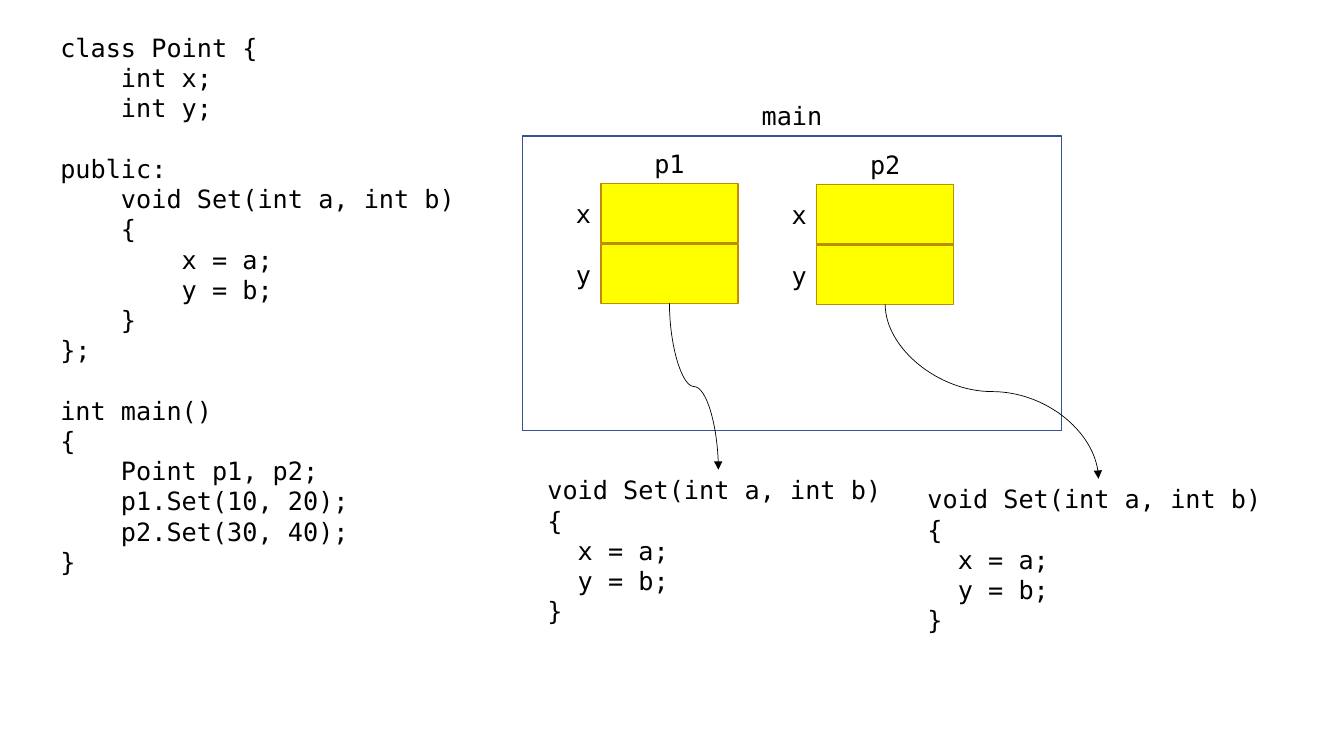
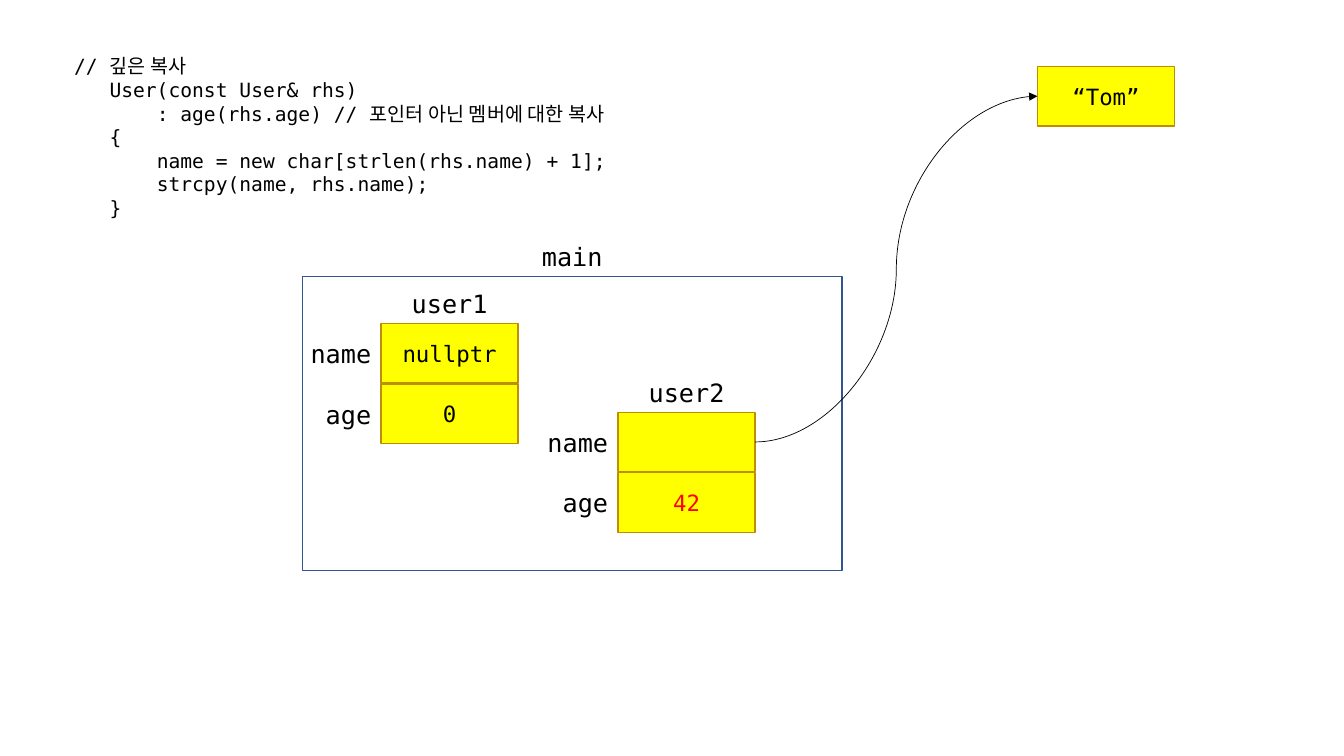
from dataclasses import dataclass

from lxml import etree
from pptx import Presentation
from pptx.dml.color import RGBColor
from pptx.enum import shapes, text
from pptx.oxml import ns
from pptx.util import Inches, Pt


@dataclass(frozen=True)
class Theme:
    font: str = "DejaVu Sans Mono"
    ink: str = "000000"
    accent: str = "FF0000"
    paper: str = "FFFFFF"
    frame: str = "325491"
    cell: str = "FFFF00"
    cell_edge: str = "BD8E00"
    label: int = 18
    value: int = 16
    small: int = 14
    advance: float = 0.602  # character width, in ems
    leading: float = 1.2    # line height, in ems


T = Theme()
CELL_W, CELL_H, CELL_STEP = 1.36, 0.59, 0.6
FRAME_W, FRAME_H = 5.35, 2.92
LABEL_W, LABEL_H = 0.94, 0.4
CENTER, RIGHT = text.PP_ALIGN.CENTER, text.PP_ALIGN.RIGHT

POINT_CODE = """\
class Point {
    int x;
    int y;

public:
    void Set(int a, int b)
    {
        x = a;
        y = b;
    }
};

int main()
{
    Point p1, p2;
    p1.Set(10, 20);
    p2.Set(30, 40);
}"""

SET_CODE = """\
 void Set(int a, int b)
 {
   x = a;
   y = b;
 }"""

DEEP_COPY_CODE = """\
 // 깊은 복사
    User(const User& rhs)
        : age(rhs.age) // 포인터 아닌 멤버에 대한 복사
    {
        name = new char[strlen(rhs.name) + 1];
        strcpy(name, rhs.name);
    }"""


# Text
def write(p, line, size=T.label, color=T.ink, align=None):
    p.alignment = align
    r = p.add_run()
    r.text = line
    r.font.name = T.font
    r.font.size = Pt(size)
    r.font.color.rgb = RGBColor.from_string(color)


def text_box(s, x, y, w, h):
    tf = s.shapes.add_textbox(Inches(x), Inches(y), Inches(w), Inches(h)).text_frame
    tf.word_wrap = True
    tf.auto_size = text.MSO_AUTO_SIZE.SHAPE_TO_FIT_TEXT
    return tf


def label(s, x, y, w, line, align=CENTER):
    write(text_box(s, x, y, w, LABEL_H).paragraphs[0], line, align=align)


def code(s, x, y, w, h, source, size=T.label):
    """Leading spaces become indents, empty lines become space before."""
    tf = text_box(s, x, y, w, h)
    p, gap = tf.paragraphs[0], 0
    for i, line in enumerate(source.split("\n")):
        if not line:
            gap += size * T.leading
            continue
        p = tf.add_paragraph() if i else p
        body = line.lstrip()
        write(p, body, size)
        p.space_before = Pt(gap)
        pPr = p._p.get_or_add_pPr()
        pPr.set("marL", str(Pt((len(line) - len(body)) * size * T.advance)))
        pPr.set("indent", "0")
        gap = 0


# Shapes
def box(s, x, y, w, h, fill, edge):
    sp = s.shapes.add_shape(shapes.MSO_SHAPE.RECTANGLE,
                            Inches(x), Inches(y), Inches(w), Inches(h))
    sp.shadow.inherit = False
    sp.fill.solid()
    sp.fill.fore_color.rgb = RGBColor.from_string(fill)
    sp.line.color.rgb = RGBColor.from_string(edge)
    sp.line.width = Pt(1)
    return sp


def cell(s, x, y, value="", color=T.ink):
    sp = box(s, x, y, CELL_W, CELL_H, T.cell, T.cell_edge)
    if value:
        tf = sp.text_frame
        tf.vertical_anchor = text.MSO_ANCHOR.MIDDLE
        write(tf.paragraphs[0], value, T.value, color, CENTER)


def curve(s, x1, y1, x2, y2, vertical=False):
    """Curved arrow; a vertical one leaves downwards, by a quarter turn."""
    if vertical:
        cx, cy, dx, dy = (x1 + x2) / 2, (y1 + y2) / 2, x2 - x1, y2 - y1
        x1, y1, x2, y2 = cx + dy / 2, cy - dx / 2, cx - dy / 2, cy + dx / 2
    c = s.shapes.add_connector(shapes.MSO_CONNECTOR.CURVE,
                               Inches(x1), Inches(y1), Inches(x2), Inches(y2))
    c.line.color.rgb = RGBColor.from_string(T.ink)
    c.line.width = Pt(0.5)
    spPr = c._element.spPr
    if vertical:
        spPr.find(ns.qn("a:xfrm")).set("rot", str(270 * 60000))
    etree.SubElement(spPr.find(ns.qn("a:ln")), ns.qn("a:tailEnd"), type="triangle")
    etree.SubElement(spPr, ns.qn("a:effectLst"))


# Memory diagram
def stack_frame(s, x, y, name):
    box(s, x, y, FRAME_W, FRAME_H, T.paper, T.frame)
    label(s, x, y - LABEL_H, FRAME_W, name)


def memory_object(s, x, y, name, fields):
    """Fields are (name, value, colour), stacked from the top left."""
    label(s, x, y - LABEL_H, CELL_W, name)
    for i, (field, value, color) in enumerate(fields):
        top = y + i * CELL_STEP
        cell(s, x, top, value, color)
        label(s, x - LABEL_W, top + 0.1, LABEL_W, field, RIGHT)


# Slides
def member_function_slide(s):
    code(s, 0.5, 0.27, 4.56, 5.55, POINT_CODE)
    stack_frame(s, 5.18, 1.35, "main")
    fields = [("x", "", T.ink), ("y", "", T.ink)]
    for name, x, y, set_x, set_y in (("p1", 5.96, 1.82, 5.18, 4.66),
                                     ("p2", 8.1, 1.83, 8.95, 4.75)):
        memory_object(s, x, y, name, fields)
        code(s, set_x, set_y, 3.89, 1.62, SET_CODE)
        curve(s, x + CELL_W / 2, y + CELL_STEP + CELL_H,
              set_x + 3.89 / 2, set_y, vertical=True)


def deep_copy_slide(s):
    code(s, 0.52, 0.49, 6.67, 1.75, DEEP_COPY_CODE, T.small)
    stack_frame(s, 3, 2.74, "main")
    memory_object(s, 3.78, 3.21, "user1",
                  [("name", "nullptr", T.ink), ("age", "0", T.ink)])
    x, y, heap_x, heap_y = 6.13, 4.09, 10.29, 0.66
    memory_object(s, x, y, "user2", [("name", "", T.ink), ("age", "42", T.accent)])
    cell(s, heap_x, heap_y, "“Tom”")
    curve(s, x + CELL_W, y + CELL_H / 2, heap_x, heap_y + CELL_H / 2)


prs = Presentation()
prs.slide_width, prs.slide_height = Inches(13.33), Inches(7.5)
for build in (member_function_slide, deep_copy_slide):
    build(prs.slides.add_slide(prs.slide_layouts[6]))
prs.save("out.pptx")
